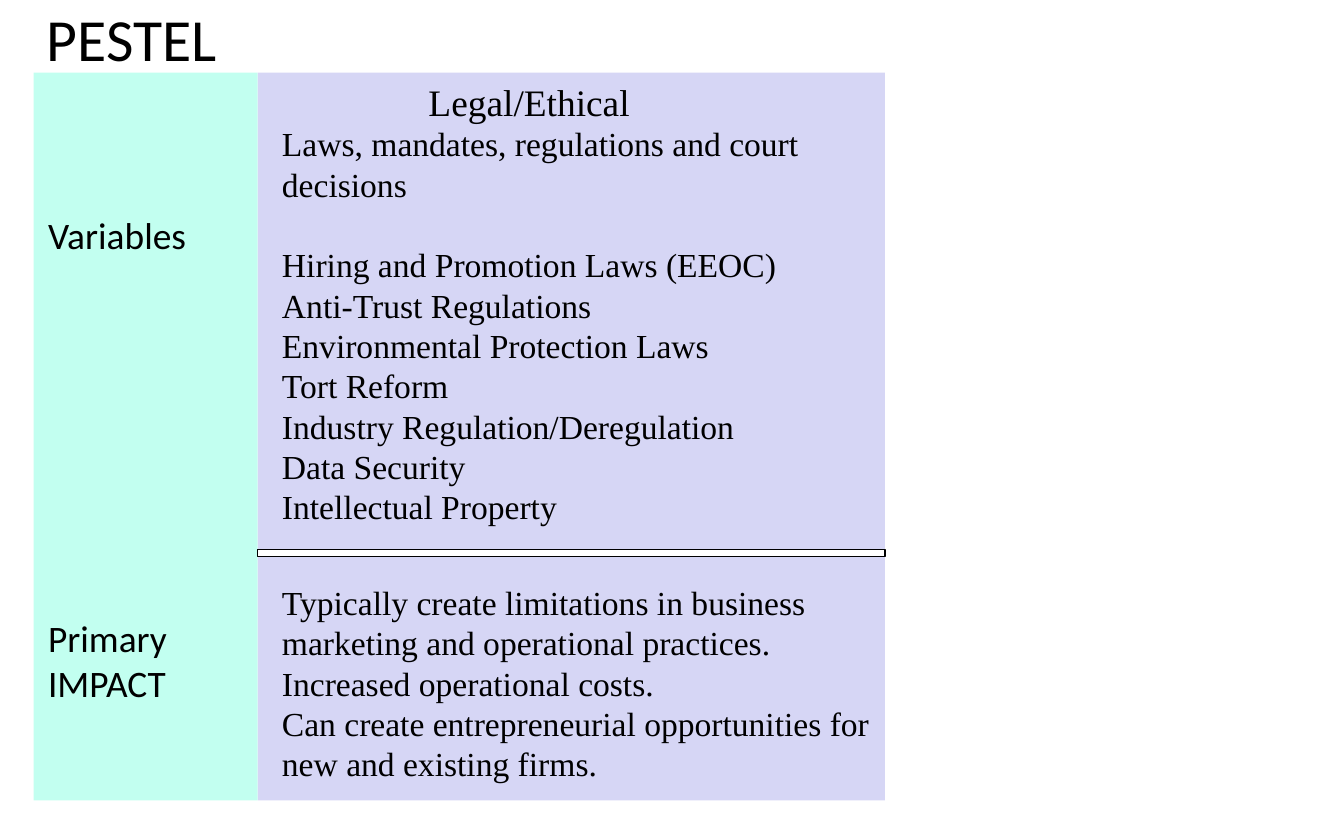
from dataclasses import dataclass

from pptx import Presentation
from pptx.dml.color import RGBColor
from pptx.enum import shapes, text
from pptx.util import Pt


@dataclass(frozen=True)
class Theme:
    ink: RGBColor = RGBColor(0, 0, 0)
    paper: RGBColor = RGBColor(255, 255, 255)
    label_fill: RGBColor = RGBColor(0xC2, 0xFF, 0xF0)
    detail_fill: RGBColor = RGBColor(0xD6, 0xD6, 0xF5)
    sans: str = "Calibri"
    serif: str = "Times New Roman"
    title: int = 32
    heading: int = 20
    body: int = 18
    leading: float = 1.2


THEME = Theme()

LAWS = [
    "Laws, mandates, regulations and court decisions",
    "Hiring and Promotion Laws (EEOC)",
    "Anti-Trust Regulations",
    "Environmental Protection Laws",
    "Tort Reform",
    "Industry Regulation/Deregulation",
    "Data Security",
    "Intellectual Property",
]
IMPACTS = [
    "Typically create limitations in business marketing and operational practices.",
    "Increased operational costs.",
    "Can create entrepreneurial opportunities for new and existing firms.",
]


def add_panel(slide, box, fill, outline=None):
    panel = slide.shapes.add_shape(shapes.MSO_SHAPE.RECTANGLE, *map(Pt, box))
    panel.shadow.inherit = False
    panel.fill.solid()
    panel.fill.fore_color.rgb = fill
    if outline is None:
        panel.line.fill.background()
    else:
        panel.line.color.rgb = outline
        panel.line.width = Pt(0.75)


def add_text(slide, box, lines, font, size, anchor=text.MSO_ANCHOR.TOP, gap_after_first=0):
    """Place one paragraph per line; the gap sets the first one apart as an introduction."""
    frame = slide.shapes.add_textbox(*map(Pt, box)).text_frame
    frame.word_wrap = True
    frame.vertical_anchor = anchor
    for index, line in enumerate(lines):
        paragraph = frame.paragraphs[0] if index == 0 else frame.add_paragraph()
        paragraph.line_spacing = Pt(size * THEME.leading)
        if index == 0:
            paragraph.space_after = Pt(gap_after_first)
        run = paragraph.add_run()
        run.text = line
        run.font.name = font
        run.font.size = Pt(size)
        run.font.color.rgb = THEME.ink


def add_title(slide, box):
    add_text(slide, box, ["PESTEL"], THEME.sans, THEME.title, text.MSO_ANCHOR.MIDDLE)


def add_label_column(slide, box):
    left, top, width, _ = box
    add_panel(slide, box, THEME.label_fill)
    for offset, lines in ((71.3, ["Variables"]), (287.3, ["Primary", "IMPACT"])):
        height = len(lines) * THEME.heading * THEME.leading + 7.2
        add_text(slide, (left + 0.7, top + offset, width - 10, height),
                 lines, THEME.sans, THEME.heading)


def add_detail_column(slide, box):
    left, top, width, height = box
    inner_left, inner_width = left + 5.9, width - 6
    add_panel(slide, box, THEME.detail_fill)
    add_text(slide, (left + 84.4, top, 130, 31.2),
             ["Legal/Ethical"], THEME.serif, THEME.heading)
    add_text(slide, (inner_left, top + 23.7, inner_width, 224),
             LAWS, THEME.serif, THEME.body, gap_after_first=THEME.body * THEME.leading)
    add_text(slide, (inner_left, top + 269.3, inner_width, 116),
             IMPACTS, THEME.serif, THEME.body)
    add_panel(slide, (left, top + 255.4, width, 3.75), THEME.paper, THEME.ink)


def main():
    deck = Presentation()
    deck.slide_width, deck.slide_height = Pt(720), Pt(450)
    slide = deck.slides.add_slide(deck.slide_layouts[6])

    left, top, label_width, detail_width, height = 18, 38.9, 120.1, 336, 390
    add_title(slide, (left, 0, 468, 40))
    add_label_column(slide, (left, top, label_width, height))
    add_detail_column(slide, (left + label_width, top, detail_width, height))
    deck.save("out.pptx")


if __name__ == "__main__":
    main()
